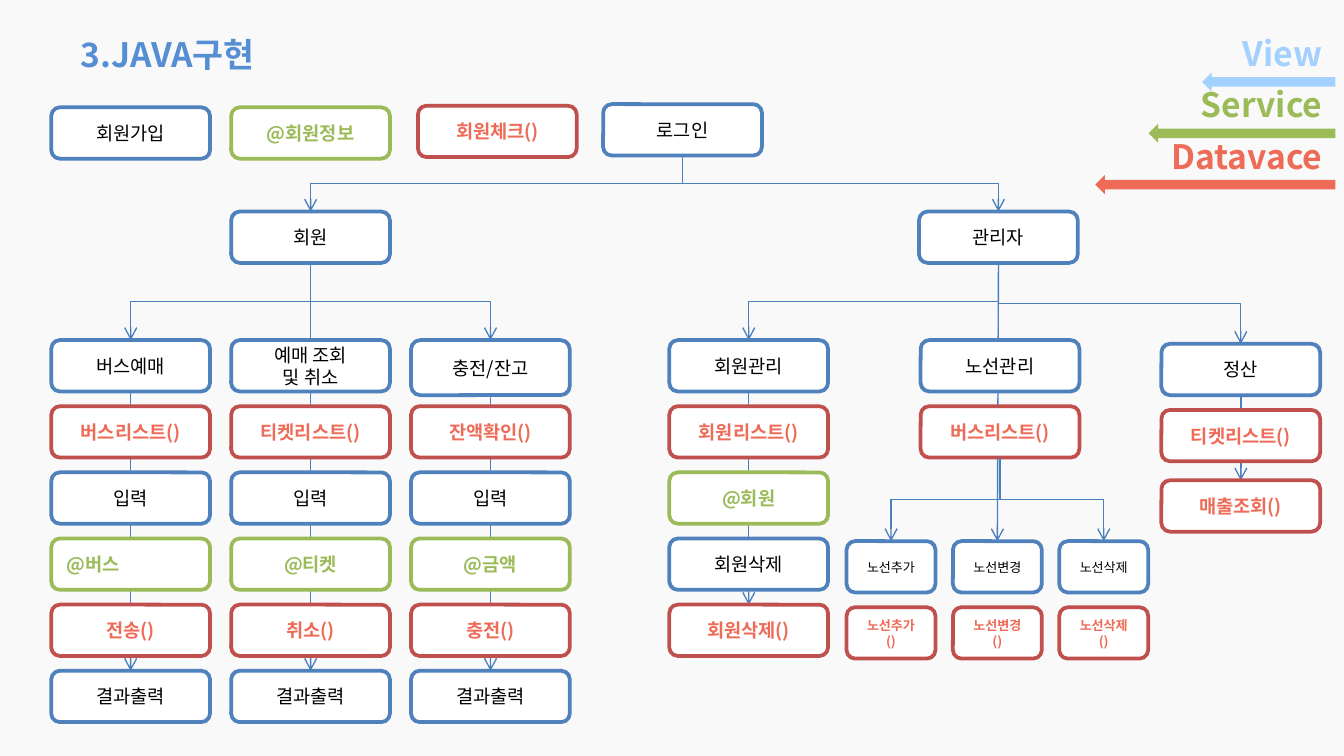
from dataclasses import dataclass

from lxml import etree
from pptx import Presentation
from pptx.dml.color import RGBColor
from pptx.enum.shapes import MSO_CONNECTOR, MSO_SHAPE
from pptx.enum.text import MSO_ANCHOR, PP_ALIGN
from pptx.oxml.ns import qn
from pptx.util import Cm, Pt

STRAIGHT, ELBOW = MSO_CONNECTOR.STRAIGHT, MSO_CONNECTOR.ELBOW
RECTANGLE, ROUNDED = MSO_SHAPE.RECTANGLE, MSO_SHAPE.ROUNDED_RECTANGLE
LEFT_ARROW = MSO_SHAPE.LEFT_ARROW
MIDDLE = MSO_ANCHOR.MIDDLE
LEFT, CENTER, RIGHT = PP_ALIGN.LEFT, PP_ALIGN.CENTER, PP_ALIGN.RIGHT


@dataclass(frozen=True)
class Theme:
    """Colours and type sizes of the deck."""
    font: str = "Noto Sans CJK KR"
    paper: str = "F9F9F9"
    white: str = "FFFFFF"
    title: str = "568ED4"
    connector: str = "4B7EBC"
    sky: str = "A2D1FF"
    green: str = "9BBB59"
    coral: str = "EE6B58"
    heading_size: int = 18
    body_size: int = 10
    small_size: int = 7


@dataclass(frozen=True)
class Box:
    """A rectangle in centimetres."""
    left: float
    top: float
    width: float = 3.0
    height: float = 0.97

    @property
    def bottom_center(self):
        return self.left + self.width / 2, self.top + self.height

    @property
    def top_center(self):
        return self.left + self.width / 2, self.top

    def lengths(self):
        return [Cm(value) for value in (self.left, self.top, self.width, self.height)]


THEME = Theme()
# kind of node: outline, text colour, bold
KINDS = {
    "view": ("4F81BD", "000000", False),
    "service": ("9BBB59", THEME.green, True),
    "data": ("C0504D", THEME.coral, True),
}
ROW_STEP = 1.25


def write(shape, text, size=THEME.body_size, color="000000", bold=False, align=CENTER):
    """Fill a shape with text, one paragraph a line."""
    frame = shape.text_frame
    frame.word_wrap = True
    frame.vertical_anchor = MIDDLE
    for index, line in enumerate(text.split("\n")):
        para = frame.add_paragraph() if index else frame.paragraphs[0]
        para.alignment = align
        span = para.add_run()
        span.text = line
        span.font.name = THEME.font
        span.font.size = Pt(size)
        span.font.bold = bold
        span.font.color.rgb = RGBColor.from_string(color)
        east = etree.SubElement(span.font._element, qn("a:ea"))
        east.set("typeface", THEME.font)


def add_block(page, preset, box, fill, outline=None):
    """Add a filled preset shape with an optional outline."""
    shape = page.shapes.add_shape(preset, *box.lengths())
    shape.shadow.inherit = False
    shape.fill.solid()
    shape.fill.fore_color.rgb = RGBColor.from_string(fill)
    if outline:
        shape.line.color.rgb = RGBColor.from_string(outline)
        shape.line.width = Pt(2)
    else:
        shape.line.fill.background()
    return shape


def add_heading(page, box, text, color, align=LEFT):
    """Add a bold heading."""
    label = page.shapes.add_textbox(*box.lengths())
    write(label, text, size=THEME.heading_size, color=color, bold=True, align=align)


def add_node(page, box, kind, text, **text_format):
    """Add a rounded step of the flow and return its box."""
    outline, color, bold = KINDS[kind]
    shape = add_block(page, ROUNDED, box, THEME.white, outline)
    write(shape, text, color=color, bold=bold, **text_format)
    return box


def add_arrow(page, start, end, style=STRAIGHT):
    """Draw a thin connector with an open arrowhead at its end."""
    points = [Cm(value) for value in (*start, *end)]
    connector = page.shapes.add_connector(style, *points)
    connector.line.width = Pt(0.75)
    connector.line.color.rgb = RGBColor.from_string(THEME.connector)
    etree.SubElement(connector.line._get_or_add_ln(), qn("a:tailEnd")).set("type", "arrow")
    etree.SubElement(connector.element.spPr, qn("a:effectLst"))
    return connector


def add_branch(page, start, end):
    """Draw an elbow that goes down, across, then down again."""
    (x1, y1), (x2, y2) = start, end
    drop, reach = y2 - y1, abs(x2 - x1)
    left, top = (x1 + x2 - drop) / 2, (y1 + y2 - reach) / 2
    connector = add_arrow(page, (left, top), (left + drop, top + reach), ELBOW)
    frame = connector.element.spPr.find(qn("a:xfrm"))
    frame.set("rot", "5400000" if x2 < x1 else "16200000")
    if x2 > x1:
        frame.set("flipH", "1")


def add_column(page, head, steps, start=None, end=None, last_top=None):
    """Stack steps below a head box over one trunk line; return all boxes."""
    boxes = [head] + [Box(head.left, head.top + ROW_STEP * row)
                      for row in range(1, len(steps))]
    if last_top:
        boxes[-1] = Box(head.left, last_top)
    add_arrow(page, start or head.bottom_center, end or boxes[-1].top_center)
    for box, (kind, text, *align) in zip(boxes, steps):
        add_node(page, box, kind, text, align=align[0] if align else CENTER)
    return boxes


def add_legend(page, box):
    """Add layer names, each above a longer arrow, against the right edge."""
    layers = [("View", THEME.sky), ("Service", THEME.green), ("Datavace", THEME.coral)]
    right = box.left + box.width
    for row, (name, color) in enumerate(layers):
        top, length = box.top + 0.97 * row, 2.52 + 1.01 * row
        arrow = Box(right - length, top + 0.81, length, 0.36)
        add_block(page, LEFT_ARROW, arrow, color)
        add_heading(page, Box(box.left, top, box.width, 0.89), name, color, RIGHT)


def add_entry(page, box):
    """Add the sign-up row and return the login box."""
    steps = [(0, 0, "view", "회원가입"), (3.4, 0, "service", "@회원정보"),
             (6.93, -0.03, "data", "회원체크()"), (10.43, -0.06, "view", "로그인")]
    return [add_node(page, Box(box.left + x, box.top + y), kind, text)
            for x, y, kind, text in steps][-1]


def add_member(page, box, login):
    """Add the member tree: booking, lookup and top-up."""
    member = add_node(page, Box(box.left + 3.4, box.top), "view", "회원")
    add_branch(page, login.bottom_center, member.top_center)
    columns = [
        ("버스예매", "버스리스트()", ("@버스", LEFT), "전송()"),
        ("예매 조회\n및 취소", "티켓리스트()", ("@티켓",), "취소()"),
        ("충전/잔고", "잔액확인()", ("@금액",), "충전()"),
    ]
    for index, (head, listing, service, action) in enumerate(columns):
        steps = [("view", head), ("data", listing), ("view", "입력"),
                 ("service", *service), ("data", action), ("view", "결과출력")]
        place = Box(box.left + 3.4 * index, box.top + 2.43, height=1.04 if index == 2 else 0.97)
        middle = index == 1
        add_column(page, place, steps, start=member.bottom_center if middle else None)
        if not middle:
            add_branch(page, member.bottom_center, place.top_center)


def add_manager(page, box, login):
    """Add the manager tree: members, routes and settlement."""
    manager = add_node(page, Box(box.left + 4.72, box.top), "view", "관리자")
    add_branch(page, login.bottom_center, manager.top_center)
    top = box.top + 2.43
    members = add_column(page, Box(box.left, top), [
        ("view", "회원관리"), ("data", "회원리스트()"), ("service", "@회원"),
        ("view", "회원삭제"), ("data", "회원삭제()")])
    settlement = add_column(page, Box(box.left + 9.3, top + 0.07), [
        ("view", "정산"), ("data", "티켓리스트()"), ("data", "매출조회()")], last_top=top + 2.65)
    for column in (members, settlement):
        add_branch(page, manager.bottom_center, column[0].top_center)

    actions = [Box(box.left + 3.35 + 2.01 * index, top + 3.8, 1.68) for index in range(3)]
    routes = add_column(page, Box(box.left + 4.75, top),
                        [("view", "노선관리"), ("data", "버스리스트()")],
                        start=manager.bottom_center, end=actions[1].top_center)
    for action, name in zip(actions, ("노선추가", "노선변경", "노선삭제")):
        add_node(page, action, "view", name, size=THEME.small_size)
        call = Box(action.left, action.top + ROW_STEP, action.width)
        add_node(page, call, "data", name + "()", size=THEME.small_size)
    for action in (actions[0], actions[2]):
        add_branch(page, routes[-1].bottom_center, action.top_center)


def build():
    """Build the deck and save it."""
    deck = Presentation()
    deck.slide_width, deck.slide_height = Cm(25.4), Cm(14.29)
    page = deck.slides.add_slide(deck.slide_layouts[6])
    add_block(page, RECTANGLE, Box(-0.03, 0, 25.45, 14.35), THEME.paper)
    add_heading(page, Box(1.27, 0.58, 15.77, 0.89), "3.JAVA구현", THEME.title)
    login = add_entry(page, Box(0.97, 2.03))
    add_member(page, Box(0.97, 4.0), login)
    add_manager(page, Box(12.65, 4.0), login)
    add_legend(page, Box(20.57, 0.56, 4.67, 3.1))
    deck.save("out.pptx")


build()
